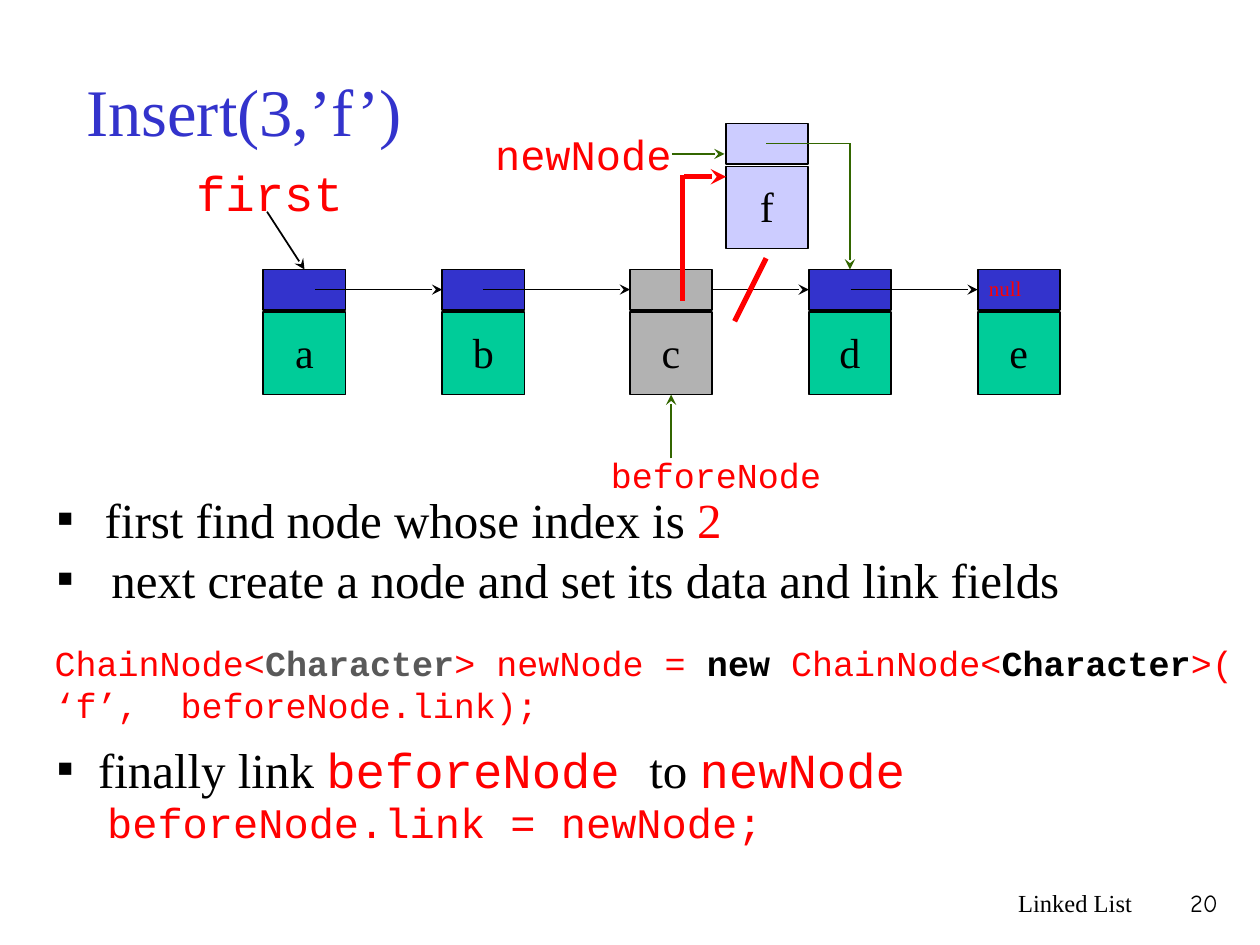
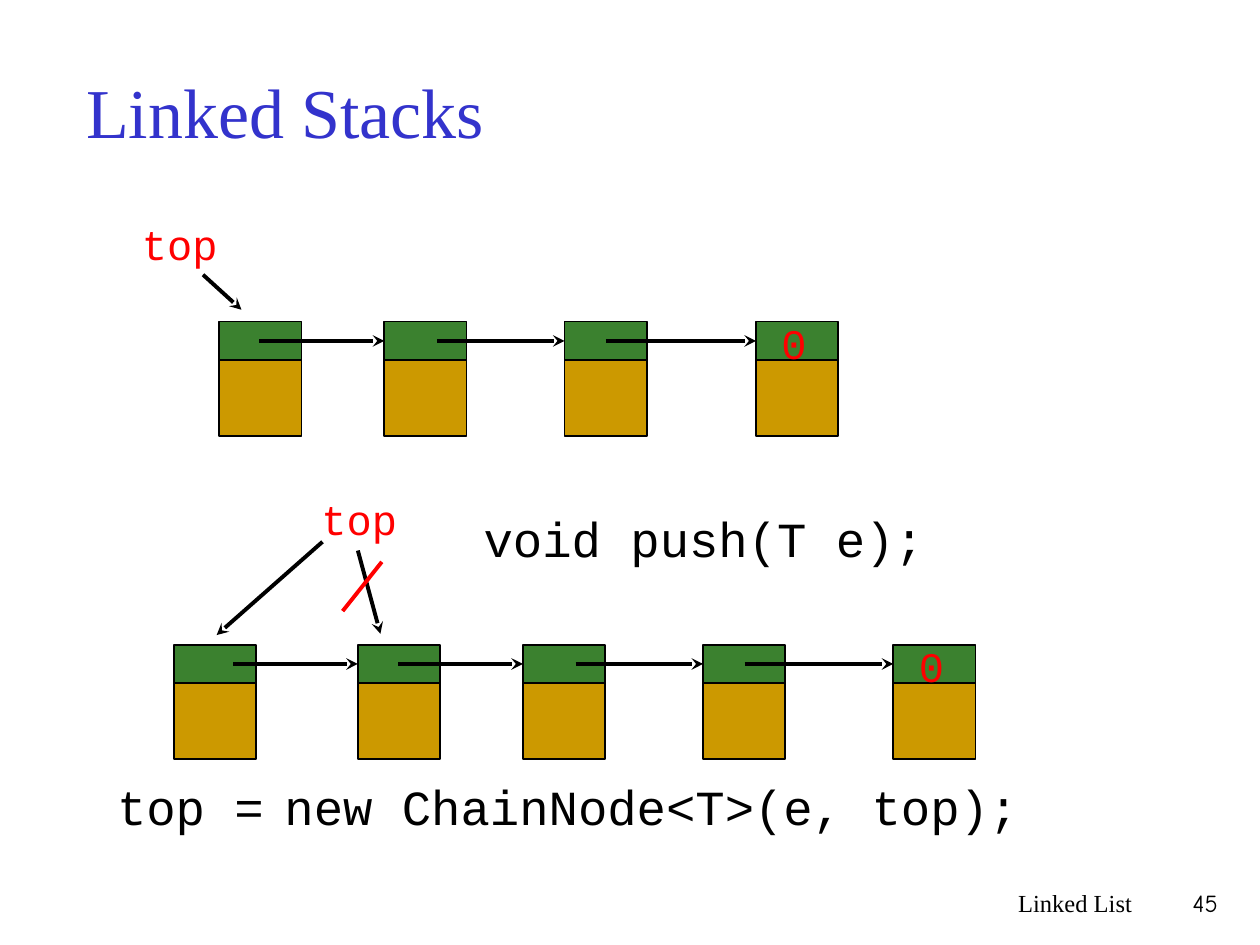
from lxml import etree
from pptx import Presentation
from pptx.dml.color import RGBColor
from pptx.enum import shapes, text
from pptx.oxml import ns
from pptx.util import Pt

SERIF, MONO, COMIC = "Times New Roman", "Courier New", "Comic Neue"
BLACK, RED, GREEN, BLUE = "000000", "FF0000", "336600", "3333CC"
GRAY, LILAC, TEAL = "B2B2B2", "CCCCFF", "00CC99"
LEAF, GOLD, DARK_GRAY = "3B812F", "CC9900", "595959"
NODE_WIDTH = 47


def color(value):
    """Turn a hex string into a colour."""
    return RGBColor.from_string(value)


def add_span(para, words, size, font=SERIF, ink=BLACK, bold=False):
    """Add one formatted run to a paragraph."""
    span = para.add_run()
    span.text = words
    span.font.size = Pt(size)
    span.font.name = font
    span.font.bold = bold
    span.font.color.rgb = color(ink)


def add_label(page, left, top, width, words, size, font=MONO, ink=RED,
              align=text.PP_ALIGN.LEFT):
    """Add a one-line text box."""
    box = page.shapes.add_textbox(Pt(left), Pt(top), Pt(width), Pt(size * 1.5))
    box.text_frame.word_wrap = True
    para = box.text_frame.paragraphs[0]
    para.alignment = align
    add_span(para, words, size, font, ink)


def add_line(page, start, end, ink=BLACK, width=1.0, arrow=True):
    """Draw a straight line; each end is a point or a (shape, site) pair."""
    points = [(0, 0) if not isinstance(spot[0], (int, float)) else spot
              for spot in (start, end)]
    line = page.shapes.add_connector(shapes.MSO_CONNECTOR.STRAIGHT,
                                     *(Pt(value) for point in points for value in point))
    for spot, join in ((start, line.begin_connect), (end, line.end_connect)):
        if not isinstance(spot[0], (int, float)):
            join(*spot)
    line.line.color.rgb = color(ink)
    line.line.width = Pt(width)
    if arrow:
        etree.SubElement(line.line._get_or_add_ln(), ns.qn("a:tailEnd"), type="stealth")
    etree.SubElement(line._element.spPr, ns.qn("a:effectLst"))


def add_cell(page, left, top, height, fill):
    """Draw one outlined rectangle of a node."""
    cell = page.shapes.add_shape(shapes.MSO_SHAPE.RECTANGLE, Pt(left), Pt(top),
                                 Pt(NODE_WIDTH), Pt(height))
    cell.shadow.inherit = False
    cell.fill.solid()
    cell.fill.fore_color.rgb = color(fill)
    cell.line.color.rgb = color(BLACK)
    cell.line.width = Pt(1)
    return cell


def add_letter_node(page, left, top, letter, link_fill=BLUE, data_fill=TEAL):
    """Draw a node with a letter and return its link and data cells."""
    data = add_cell(page, left, top + 24.5, NODE_WIDTH, data_fill)
    link = add_cell(page, left, top, 23, link_fill)
    data.text_frame.margin_bottom = Pt(6)
    data.text_frame.vertical_anchor = text.MSO_ANCHOR.MIDDLE
    para = data.text_frame.paragraphs[0]
    para.alignment = text.PP_ALIGN.CENTER
    add_span(para, letter, 24)
    return link, data


def add_frame(deck, layout, title, size, number):
    """Add a page with its title and footer."""
    page = deck.slides.add_slide(deck.slide_layouts[layout])
    box = page.shapes.title
    box.left, box.top, box.width, box.height = Pt(42), Pt(18), Pt(612), Pt(90)
    box.text_frame.auto_size = text.MSO_AUTO_SIZE.NONE
    box.text_frame.vertical_anchor = text.MSO_ANCHOR.MIDDLE
    para = box.text_frame.paragraphs[0]
    para.alignment = text.PP_ALIGN.LEFT
    add_span(para, title, size, ink=BLUE)
    for left, width, words, font in ((426, 228, "Linked List", SERIF),
                                     (654, 49, number, COMIC)):
        add_label(page, left, 504, width, words, 14, font, BLACK, text.PP_ALIGN.RIGHT)
    return page


def draw_insertion(page, left, top):
    """Draw the chain with the new node f being linked in."""
    def at(across, down):
        return left + across, top + down

    places = {"a": 50.5, "b": 152.7, "c": 260, "d": 362.2, "e": 458.7}
    nodes = {}
    for letter, across in places.items():
        fills = (GRAY, GRAY) if letter == "c" else (BLUE, TEAL)
        nodes[letter] = add_letter_node(page, *at(across, 84), letter, *fills)
    starts = (at(80, 95.5), at(176, 95.5), (nodes["c"][0], 3), at(386, 95.5))
    for start, letter in zip(starts, "bcde"):
        add_line(page, start, (nodes[letter][0], 1))
    add_label(page, *at(458, 84), 48, "null", 12, SERIF)

    add_label(page, *at(5, 19.3), 132, "first", 28)
    add_line(page, at(52.6, 51), (nodes["a"][0], 0))

    add_letter_node(page, *at(314.7, 0.6), "f", LILAC, LILAC)
    add_label(page, *at(175.8, 0), 120, "newNode", 24)
    add_line(page, at(284, 18), at(314, 18), GREEN)
    add_line(page, at(337.8, 12), at(385.7, 12), GREEN, arrow=False)
    add_line(page, at(385.7, 12), (nodes["d"][0], 0), GREEN)

    add_label(page, *at(242, 185.6), 144, "beforeNode", 20)
    add_line(page, at(283.5, 192), (nodes["c"][1], 2), GREEN)

    add_line(page, at(337.8, 77.6), at(319.8, 113.6), RED, 3, arrow=False)
    add_line(page, at(290.2, 102), at(290.2, 30), RED, 3, arrow=False)
    add_line(page, at(291, 31), at(315, 31), RED, 3)


def format_step(para, margin, line, before, bullet=False, tab=None):
    """Set the margin, line height, bullet and tab stop of a step."""
    props = para._p.get_or_add_pPr()
    props.set("marL", str(Pt(margin)))
    props.set("indent", str(Pt(1.2 - margin) if bullet else 0))
    if bullet:
        tint = etree.SubElement(props, ns.qn("a:buClr"))
        etree.SubElement(tint, ns.qn("a:srgbClr"), val=BLACK)
        etree.SubElement(props, ns.qn("a:buFont"), typeface=SERIF)
        etree.SubElement(props, ns.qn("a:buChar"), char="▪")
    else:
        etree.SubElement(props, ns.qn("a:buNone"))
    if tab:
        stops = etree.SubElement(props, ns.qn("a:tabLst"))
        etree.SubElement(stops, ns.qn("a:tab"), pos=str(Pt(tab)), algn="l")
    para.line_spacing = Pt(line)
    para.space_before = Pt(before)
    para.alignment = text.PP_ALIGN.LEFT


def write_steps(body, left, top, width, height):
    """Fill the body with the steps of the insertion and their code."""
    body.left, body.top, body.width, body.height = map(Pt, (left, top, width, height))
    frame = body.text_frame
    frame.auto_size = text.MSO_AUTO_SIZE.NONE
    frame.vertical_anchor = text.MSO_ANCHOR.TOP
    steps = [
        ((28.6, 32, 0, True),
         [("first find node whose index is ", 28), ("2", 28, SERIF, RED)]),
        ((32.4, 32, 2.3, True),
         [("next create a node and set its data and link fields", 28)]),
        ((0, 24, 19, False, 312),
         [("ChainNode<", 20, MONO, RED), ("Character", 20, MONO, DARK_GRAY, True),
          ("> newNode = ", 20, MONO, RED), ("new ", 20, MONO, BLACK, True),
          ("ChainNode<", 20, MONO, RED), ("Character", 20, MONO, BLACK, True),
          (">( ‘f’,\tbeforeNode.link);", 20, MONO, RED)]),
        ((24.8, 34, 7.5, True),
         [("finally link ", 28), ("beforeNode ", 28, MONO, RED),
          ("to ", 28), ("newNode", 28, MONO, RED)]),
        ((30, 28, 0), [("beforeNode.link = newNode;", 24, MONO, RED)]),
    ]
    for index, (layout, spans) in enumerate(steps):
        para = frame.add_paragraph() if index else frame.paragraphs[0]
        format_step(para, *layout)
        for span in spans:
            add_span(para, *span)


def draw_stack(page, left, top, places, starts):
    """Draw a linked stack that ends in 0."""
    links = []
    for across in places:
        add_cell(page, left + across, top + 22, 43.5, GOLD)
        links.append(add_cell(page, left + across, top, 22, LEAF))
    for start, link in zip(starts, links[1:]):
        add_line(page, (left + start, top + 11), (link, 1), width=2.25)
    add_label(page, left + places[-1] + 7.5, top - 6, 45, "0", 24)


def draw_before_push(page, left, top):
    """Draw the stack before the push."""
    add_label(page, left - 2, top - 0.7, 103, "top", 24)
    add_line(page, (left + 40, top + 35), (left + 62, top + 55), width=2.25)
    draw_stack(page, left + 49.3, top + 61.8, (0, 94.3, 197.3, 306.7), (23, 124.5, 221))


def draw_after_push(page, left, top):
    """Draw the push operation, the stack after it and its code."""
    def at(across, down):
        return left + across, top + down

    add_label(page, *at(77.6, -0.3), 103, "top", 24)
    add_label(page, *at(170.3, 8.3), 306, "void push(T e);", 28, ink=BLACK)
    draw_stack(page, *at(0.4, 89.4), (0, 105.1, 199.4, 302.4, 411.1),
               (33.8, 128.1, 229.6, 326.1))
    add_line(page, at(105.5, 35.6), at(118.4, 83.2), width=2.25)
    add_line(page, at(85.3, 30.6), at(24.8, 83.9), width=2.25)
    add_line(page, at(119.2, 42.1), at(96.8, 70.2), RED, 2.25, arrow=False)
    add_label(page, *at(-39.2, 161), 102, "top =", 28, ink=BLACK)
    add_label(page, *at(56.5, 161), 448, "new ChainNode<T>(e, top);", 28, ink=BLACK)


def main():
    """Build and save the deck."""
    deck = Presentation()
    deck.slide_width, deck.slide_height = Pt(720), Pt(540)

    insert_page = add_frame(deck, 1, "Insert(3,’f’)", 38, "20")
    write_steps(insert_page.placeholders[1], 24, 277.5, 696, 212)
    draw_insertion(insert_page, 100, 70)

    stack_page = add_frame(deck, 5, "Linked Stacks", 40, "45")
    draw_before_push(stack_page, 76, 122)
    draw_after_push(stack_page, 99, 279)

    deck.save("out.pptx")


if __name__ == "__main__":
    main()
